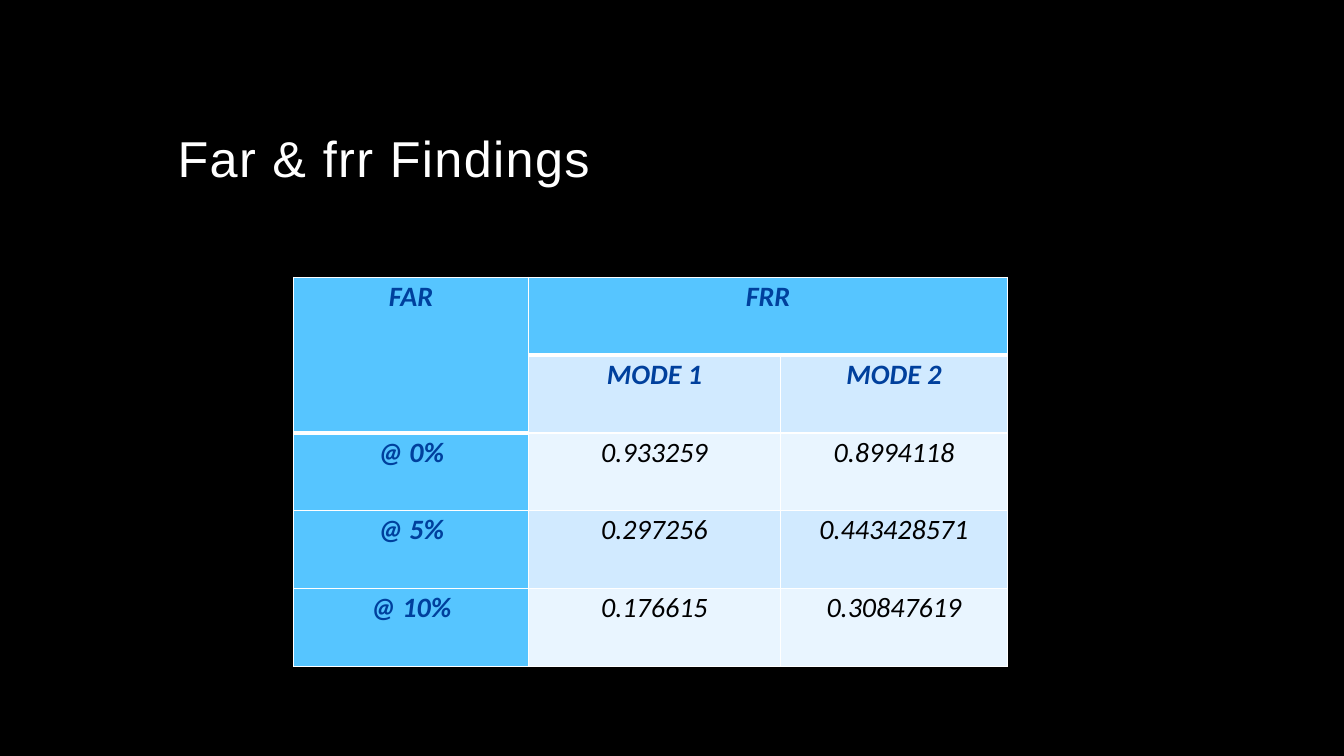
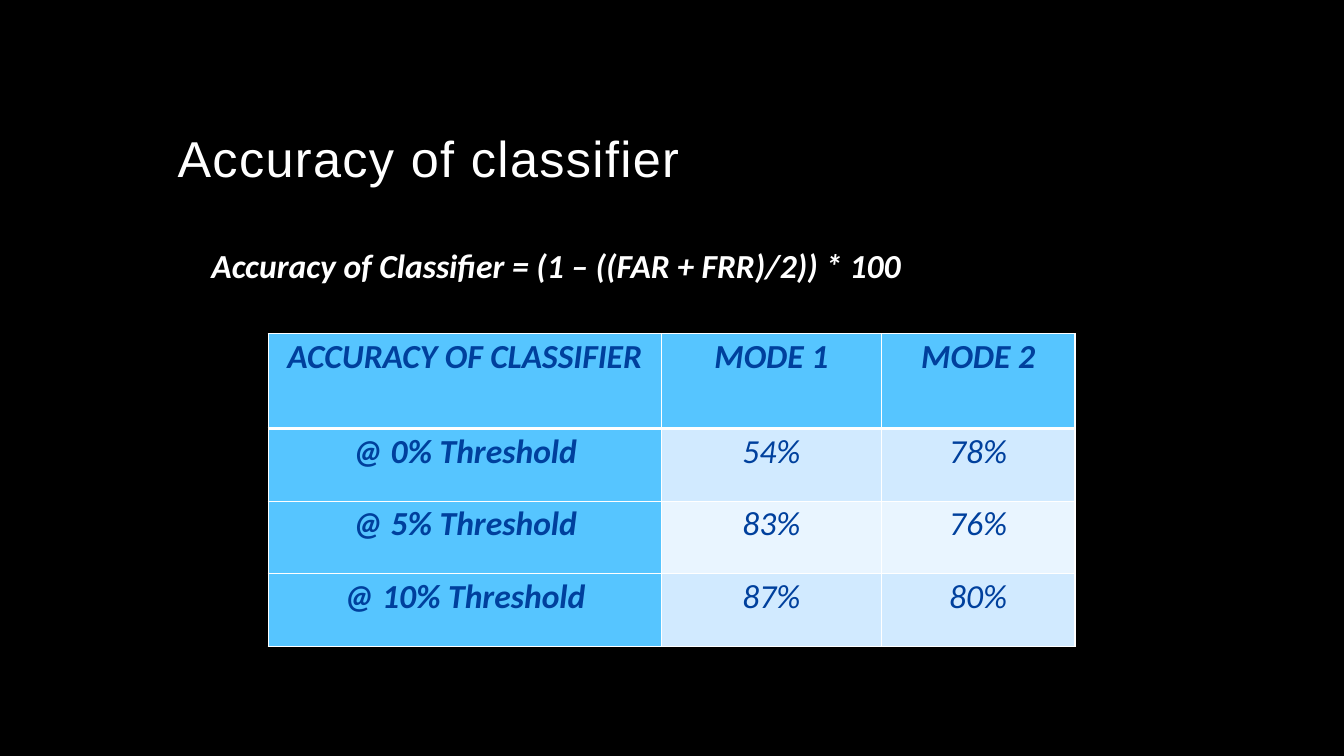
from dataclasses import dataclass

from lxml import etree
from pptx import Presentation
from pptx.dml.color import RGBColor
from pptx.enum.text import MSO_ANCHOR, MSO_AUTO_SIZE, PP_ALIGN
from pptx.oxml.ns import qn
from pptx.util import Cm, Pt

LEFT, CENTER = PP_ALIGN.LEFT, PP_ALIGN.CENTER
BOTTOM, FIXED = MSO_ANCHOR.BOTTOM, MSO_AUTO_SIZE.NONE


@dataclass(frozen=True)
class Theme:
    back: str = "000000"
    white: str = "FFFFFF"
    navy: str = "00409D"
    head: str = "56C5FF"
    bands: tuple = ("E9F5FF", "D1EAFF")
    title_font: str = "Arial"
    font: str = "Calibri"
    title: int = 36
    large: int = 24
    small: int = 20
    thin: int = 1
    thick: int = 3


theme = Theme()


def write(frame, text, size, color, font=theme.font, bold=False, italic=True,
          align=LEFT, line=0.9, track=0):
    """Put one formatted paragraph into a text frame."""
    para = frame.paragraphs[0]
    para.alignment, para.line_spacing = align, line
    run = para.add_run()
    run.text = text
    run.font.name, run.font.size = font, Pt(size)
    run.font.bold, run.font.italic = bold, italic
    run.font.color.rgb = RGBColor.from_string(color)
    if track:
        run.font._element.set("spc", str(track * 100))


def border(cell, side, width):
    """Draw one white cell edge; call before the cell is filled."""
    props = cell._tc.get_or_add_tcPr()
    edge = etree.SubElement(props, qn(f"a:ln{side}"), w=str(Pt(width)))
    fill = etree.SubElement(edge, qn("a:solidFill"))
    etree.SubElement(fill, qn("a:srgbClr"), val=theme.white)


# Slide contents; None marks a cell covered by a merged one
pages = [
    dict(
        title="Far & frr Findings", at=(7.4, 6.99), size=theme.small,
        ink=theme.back, cols=(5.92, 6.35, 5.72), heights=(1.96,) * 5,
        merges=[((0, 0), (1, 0)), ((0, 1), (0, 2))],
        rows=[("FAR", "FRR", None),
              (None, "MODE 1", "MODE 2"),
              ("@ 0%", "0.933259", "0.8994118"),
              ("@ 5%", "0.297256", "0.443428571"),
              ("@ 10%", "0.176615", "0.30847619")],
    ),
    dict(
        title="Accuracy of classifier", at=(6.76, 8.41), size=theme.large,
        ink=theme.navy, cols=(9.91, 5.54, 4.88), heights=(2.39,) + (1.83,) * 3,
        merges=[],
        formula="Accuracy of Classifier = (1 – ((FAR + FRR)/2)) * 100",
        rows=[("ACCURACY OF CLASSIFIER", "MODE 1", "MODE 2"),
              ("@ 0% Threshold", "54%", "78%"),
              ("@ 5% Threshold", "83%", "76%"),
              ("@ 10% Threshold", "87%", "80%")],
    ),
]

# Shared background and title frame
prs = Presentation()
prs.slide_width, prs.slide_height = Cm(33.87), Cm(19.05)
ground = prs.slide_master.background.fill
ground.solid()
ground.fore_color.rgb = RGBColor.from_string(theme.back)
layout = prs.slide_layouts[5]
title = layout.placeholders[0]
title.left, title.top, title.width, title.height = map(Cm, (4.22, 1.07, 25.4, 3.81))
title.text_frame.vertical_anchor = BOTTOM
title.text_frame.auto_size = FIXED

for page in pages:
    slide = prs.slides.add_slide(layout)
    write(slide.shapes.title.text_frame, page["title"], theme.title, theme.white,
          font=theme.title_font, italic=False, track=1)

    # Table grid
    rows, cols, heights = page["rows"], page["cols"], page["heights"]
    table = slide.shapes.add_table(
        len(rows), len(cols), *map(Cm, page["at"]),
        Cm(sum(cols)), Cm(sum(heights))).table
    for col, width in zip(table.columns, cols):
        col.width = Cm(width)
    for row, height in zip(table.rows, heights):
        row.height = Cm(height)
    for start, end in page["merges"]:
        table.cell(*start).merge(table.cell(*end))

    # Table cells
    for r, row in enumerate(rows):
        for c, text in enumerate(row):
            cell = table.cell(r, c)
            cell.margin_left = cell.margin_right = Cm(0.18)
            cell.margin_top = cell.margin_bottom = 0
            last = 0 if rows[1][c] else 1  # last header row in this column
            border(cell, "L", theme.thin)
            border(cell, "R", theme.thin)
            border(cell, "T", theme.thick if r == last + 1 else theme.thin)
            border(cell, "B", theme.thick if r <= last else theme.thin)
            head = r == 0 or c == 0
            cell.fill.solid()
            cell.fill.fore_color.rgb = RGBColor.from_string(
                theme.head if head else theme.bands[r % 2])
            if text:
                label = head or text.startswith("MODE")
                write(cell.text_frame, text, page["size"],
                      theme.navy if label else page["ink"],
                      bold=label, align=CENTER, line=1.07)

    # Formula above the table
    if "formula" in page:
        box = slide.shapes.add_textbox(*map(Cm, (5.08, 6.15, 25.37, 1.9)))
        box.text_frame.word_wrap = True
        write(box.text_frame, page["formula"], theme.large, theme.white, bold=True)

prs.save("out.pptx")
